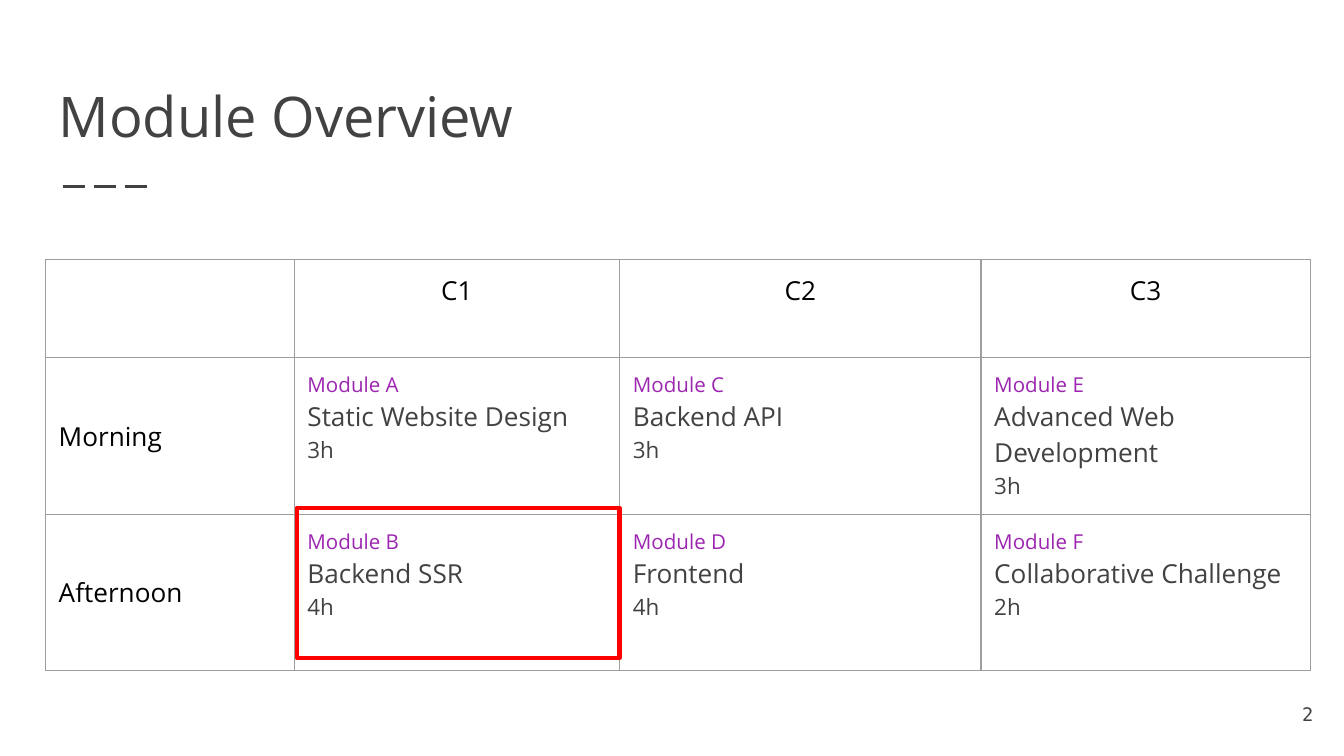
from lxml import etree
from pptx import Presentation, util as u
from pptx.dml.color import RGBColor
from pptx.enum import dml, shapes, text
from pptx.oxml import ns

# Content
TITLE = "Module Overview"
PAGE = "2"
COURSES = ["C1", "C2", "C3"]
SCHEDULE = [
    ("Morning", [("Module A", "Static Website Design", "3h"),
                 ("Module C", "Backend API", "3h"),
                 ("Module E", "Advanced Web Development", "3h")]),
    ("Afternoon", [("Module B", "Backend SSR", "4h"),
                   ("Module D", "Frontend", "4h"),
                   ("Module F", "Collaborative Challenge", "2h")]),
]


class Theme:
    font, page_font = "Open Sans", "DejaVu Sans Mono"
    ink, black, accent = "424242", "000000", "9C26B0"
    grid, highlight = "9E9E9E", "FF0000"
    title, body, hours, module, page = 30, 14, 12, 11, 10


INSET = u.Cm(0.25)
COL_WIDTHS = [4.7, 6.15, 6.83, 6.22]
ROW_HEIGHTS = [1.85, 2.96, 2.96]
MODULE_STYLES = [dict(size=Theme.module, color=Theme.accent),
                 dict(size=Theme.body), dict(size=Theme.hours)]


def write(p, words, size=Theme.body, color=Theme.ink, font=Theme.font, align=text.PP_ALIGN.LEFT):
    p.alignment = align
    r = p.add_run()
    r.text = words
    r.font.size = u.Pt(size)
    r.font.name = font
    r.font.color.rgb = RGBColor.from_string(color)


def add_text(s, box, words, anchor, **style):
    tf = s.shapes.add_textbox(*map(u.Cm, box)).text_frame
    tf.word_wrap = True
    tf.vertical_anchor = anchor
    tf.margin_left = tf.margin_right = tf.margin_top = tf.margin_bottom = INSET
    write(tf.paragraphs[0], words, **style)


def format_cell(cell):
    cell.margin_left = cell.margin_right = cell.margin_top = cell.margin_bottom = INSET
    tc_pr = cell._tc.get_or_add_tcPr()
    for side in ("lnL", "lnR", "lnT", "lnB"):
        ln = etree.SubElement(tc_pr, ns.qn("a:" + side), w=str(u.Pt(0.75)))
        fill = etree.SubElement(ln, ns.qn("a:solidFill"))
        etree.SubElement(fill, ns.qn("a:srgbClr"), val=Theme.grid)
    cell.fill.background()


prs = Presentation()
prs.slide_width, prs.slide_height = u.Cm(25.4), u.Cm(14.29)
s = prs.slides.add_slide(prs.slide_layouts[6])

# Title and dashed rule
rule = s.shapes.add_connector(shapes.MSO_CONNECTOR.STRAIGHT,
                              u.Cm(1.19), u.Cm(3.53), u.Cm(2.9), u.Cm(3.53))
rule.line.color.rgb = RGBColor.from_string(Theme.ink)
rule.line.width = u.Pt(1.5)
rule.line.dash_style = dml.MSO_LINE.LONG_DASH
etree.SubElement(rule._element.spPr, ns.qn("a:effectLst"))
add_text(s, (0.86, 1.04, 23.67, 2.03), TITLE, text.MSO_ANCHOR.BOTTOM, size=Theme.title)

# Timetable
frame = s.shapes.add_table(len(ROW_HEIGHTS), len(COL_WIDTHS), u.Cm(0.86), u.Cm(4.91),
                           u.Cm(sum(COL_WIDTHS)), u.Cm(sum(ROW_HEIGHTS)))
table = frame.table
table.first_row = table.horz_banding = False
for col, width in zip(table.columns, COL_WIDTHS):
    col.width = u.Cm(width)
for row, height in zip(table.rows, ROW_HEIGHTS):
    row.height = u.Cm(height)
for cell in table.iter_cells():
    format_cell(cell)

for c, course in enumerate(COURSES, 1):
    write(table.cell(0, c).text_frame.paragraphs[0], course,
          color=Theme.black, align=text.PP_ALIGN.CENTER)
for r, (session, modules) in enumerate(SCHEDULE, 1):
    head = table.cell(r, 0)
    head.vertical_anchor = text.MSO_ANCHOR.MIDDLE
    write(head.text_frame.paragraphs[0], session, color=Theme.black)
    for c, module in enumerate(modules, 1):
        tf = table.cell(r, c).text_frame
        for i, (words, style) in enumerate(zip(module, MODULE_STYLES)):
            write(tf.add_paragraph() if i else tf.paragraphs[0], words, **style)

# Page number
add_text(s, (23.55, 12.95, 1.52, 1.09), PAGE, text.MSO_ANCHOR.MIDDLE,
         size=Theme.page, font=Theme.page_font, align=text.PP_ALIGN.RIGHT)

# Highlight around the current module
sp = s.shapes.add_shape(shapes.MSO_SHAPE.RECTANGLE, u.Cm(5.61), u.Cm(9.6), u.Cm(6.1), u.Cm(2.84))
sp.shadow.inherit = False
sp.fill.background()
sp.line.color.rgb = RGBColor.from_string(Theme.highlight)
sp.line.width = u.Pt(2.25)

prs.save("out.pptx")
